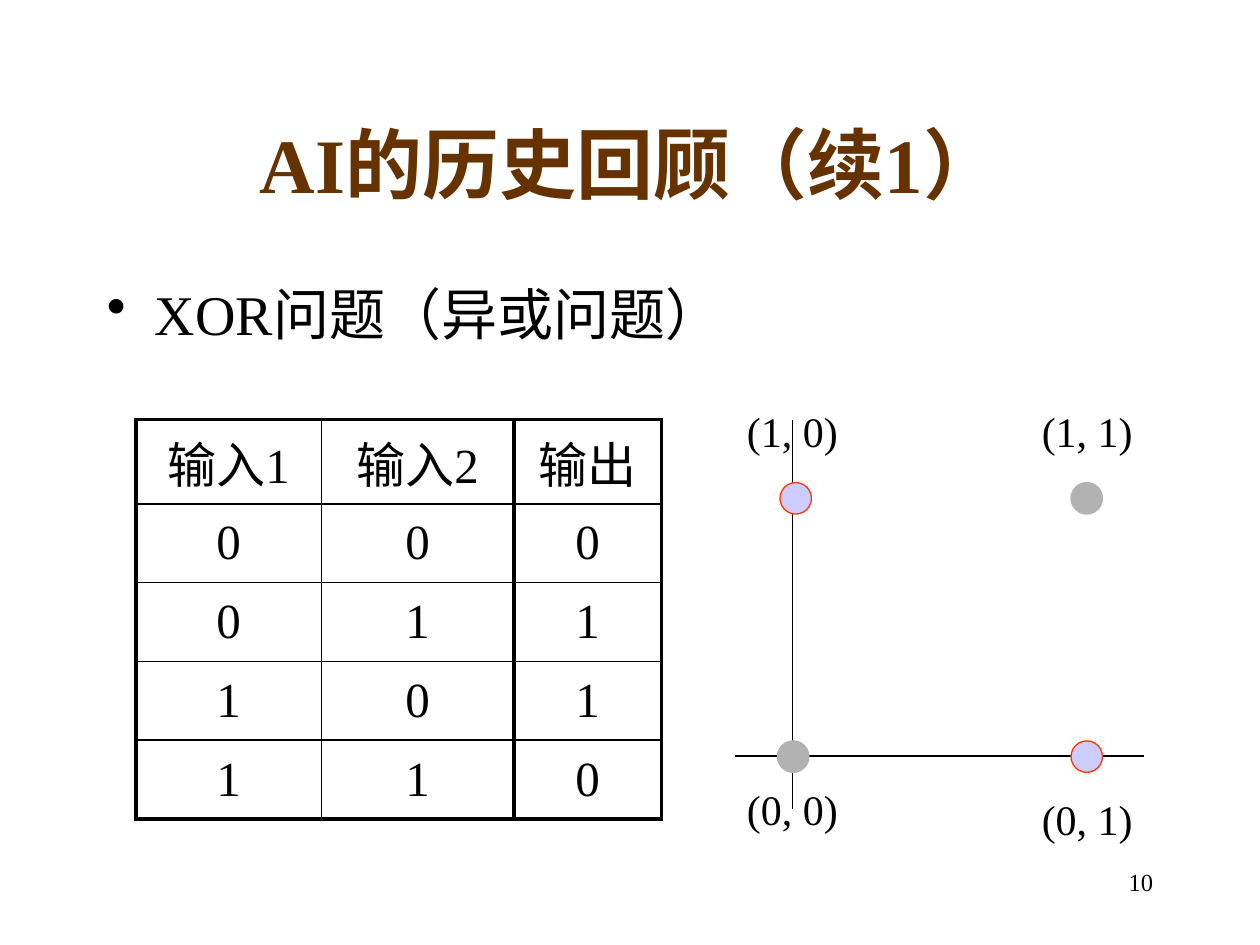
"""Build the XOR problem slide: truth table and points on a plane."""
from lxml import etree
from pptx import Presentation
from pptx import util as u
from pptx.dml.color import RGBColor
from pptx.enum import shapes, text
from pptx.oxml import ns

BLACK = RGBColor(0x00, 0x00, 0x00)
BROWN = RGBColor(0x66, 0x33, 0x00)
GRAY = RGBColor(0xB2, 0xB2, 0xB2)
LILAC = RGBColor(0xCC, 0xCC, 0xFF)
RED = RGBColor(0xFF, 0x33, 0x00)
FONT = "Times New Roman"

TITLE = "AI的历史回顾（续1）"
TOPIC = "XOR问题（异或问题）"
PAGE = "10"
TRUTH_TABLE = [
    ("输入1", "输入2", "输出"),
    ("0", "0", "0"),
    ("0", "1", "1"),
    ("1", "0", "1"),
    ("1", "1", "0"),
]
COLUMN_WIDTHS = (1.47, 1.53, 1.17)
ROW_HEIGHTS = (0.67, 0.625, 0.625, 0.625, 0.625)
VERTICAL_RULES = (2.25, 1, 3, 2.25)
HORIZONTAL_RULES = (2.25, 1, 1, 1, 1, 2.25)
AXES = [(6.29, 3.33, 6.29, 6.42), (5.83, 6, 9.08, 6)]
DOT = 0.25
POINTS = [
    ("(0, 0)", (6.17, 5.88), (5.83, 6.17), GRAY, GRAY),
    ("(1, 1)", (8.5, 3.83), (8.17, 3.17), GRAY, GRAY),
    ("(0, 1)", (8.5, 5.88), (8.17, 6.25), LILAC, RED),
    ("(1, 0)", (6.19, 3.83), (5.83, 3.17), LILAC, RED),
]


def write(frame, words, size, color=BLACK, bold=False, bullet=None,
          align=text.PP_ALIGN.LEFT, anchor=text.MSO_ANCHOR.TOP):
    frame.word_wrap = True
    frame.vertical_anchor = anchor
    paragraph = frame.paragraphs[0]
    paragraph.text = words
    paragraph.alignment = align
    if bullet:
        properties = paragraph._p.get_or_add_pPr()
        properties.set("marL", str(u.Inches(0.38)))
        properties.set("indent", str(-u.Inches(0.38)))
        etree.SubElement(properties, ns.qn("a:buChar"), char=bullet)
    font = paragraph.runs[0].font
    font.name, font.size, font.bold = FONT, u.Pt(size), bold
    font.color.rgb = color


def add_text(slide, place, words, size, **style):
    box = slide.shapes.add_textbox(*map(u.Inches, place))
    write(box.text_frame, words, size, **style)


def set_borders(cell, **widths):
    properties = cell._tc.get_or_add_tcPr()
    for position, (side, width) in enumerate(widths.items()):
        border = etree.Element(ns.qn(f"a:ln{side}"), w=str(u.Pt(width)))
        fill = etree.SubElement(border, ns.qn("a:solidFill"))
        etree.SubElement(fill, ns.qn("a:srgbClr"), val=str(BLACK))
        properties.insert(position, border)


def add_truth_table(slide):
    place = (1.08, 3.33, sum(COLUMN_WIDTHS), sum(ROW_HEIGHTS))
    table = slide.shapes.add_table(
        len(ROW_HEIGHTS), len(COLUMN_WIDTHS), *map(u.Inches, place)).table
    table.first_row = table.horz_banding = False
    for column, width in zip(table.columns, COLUMN_WIDTHS):
        column.width = u.Inches(width)
    for r, values in enumerate(TRUTH_TABLE):
        table.rows[r].height = u.Inches(ROW_HEIGHTS[r])
        for c, value in enumerate(values):
            cell = table.cell(r, c)
            cell.fill.background()
            cell.vertical_anchor = text.MSO_ANCHOR.MIDDLE
            write(cell.text_frame, value, 28, align=text.PP_ALIGN.CENTER)
            set_borders(cell, L=VERTICAL_RULES[c], R=VERTICAL_RULES[c + 1],
                        T=HORIZONTAL_RULES[r], B=HORIZONTAL_RULES[r + 1])


def add_plane(slide):
    for ends in AXES:
        axis = slide.shapes.add_connector(
            shapes.MSO_CONNECTOR.STRAIGHT, *map(u.Inches, ends))
        axis.line.color.rgb, axis.line.width = BLACK, u.Pt(0.75)
        etree.SubElement(axis._element.spPr, ns.qn("a:effectLst"))
    for label, corner, label_corner, fill, outline in POINTS:
        dot = slide.shapes.add_shape(
            shapes.MSO_SHAPE.OVAL, *map(u.Inches, (*corner, DOT, DOT)))
        dot.shadow.inherit = False
        dot.fill.solid()
        dot.fill.fore_color.rgb = fill
        dot.line.color.rgb, dot.line.width = outline, u.Pt(0.75)
        add_text(slide, (*label_corner, 1.17, 0.5), label, 24)


def main():
    deck = Presentation()
    deck.slide_width, deck.slide_height = u.Inches(10), u.Inches(7.5)
    slide = deck.slides.add_slide(deck.slide_layouts[5])
    title = slide.shapes.title
    title.left, title.top, title.width, title.height = map(
        u.Inches, (0.75, 0.67, 8.5, 1.25))
    write(title.text_frame, TITLE, 44, color=BROWN, bold=True,
          align=text.PP_ALIGN.CENTER, anchor=text.MSO_ANCHOR.MIDDLE)
    add_text(slide, (0.75, 2.17, 8.5, 4.5), TOPIC, 32, bullet="•")
    add_truth_table(slide)
    add_plane(slide)
    add_text(slide, (7.17, 6.83, 2.08, 0.5), PAGE, 14,
             align=text.PP_ALIGN.RIGHT)
    deck.save("out.pptx")


if __name__ == "__main__":
    main()
